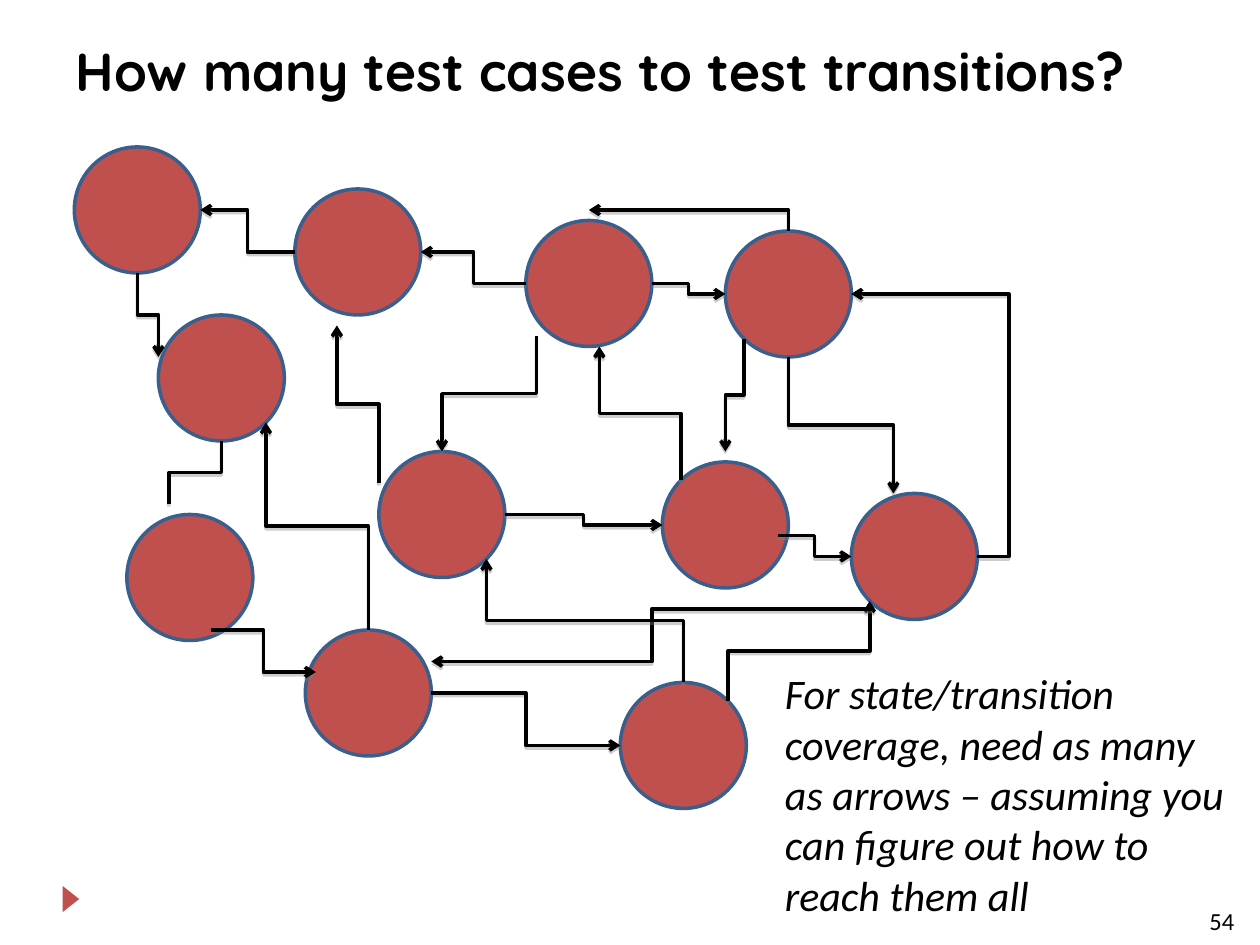
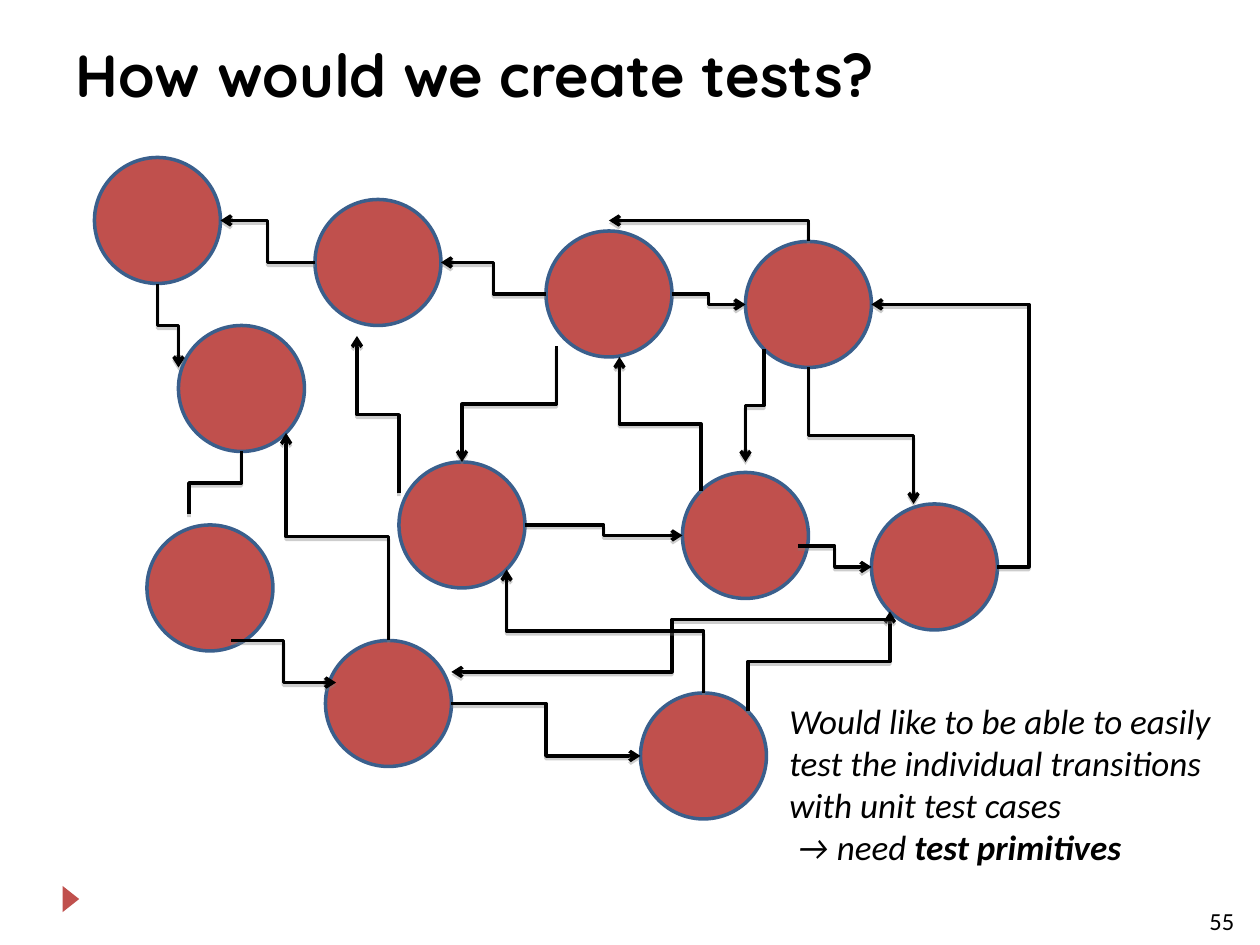
from lxml.etree import SubElement
from pptx import Presentation
from pptx.dml.color import RGBColor
from pptx.enum.shapes import MSO_CONNECTOR, MSO_SHAPE
from pptx.enum.text import MSO_ANCHOR, MSO_AUTO_SIZE, PP_ALIGN
from pptx.oxml.ns import qn
from pptx.util import Pt

BLACK = RGBColor(0x00, 0x00, 0x00)
RED = RGBColor(0xC0, 0x50, 0x4D)
BLUE = RGBColor(0x3A, 0x5F, 0x8C)
TITLE_FONT, BODY_FONT = "Quicksand", "Calibri"

SLIDES = [
    {
        "title": "How many test cases to test transitions?",
        "title_size": 30.6,
        "title_width": 615,
        "number": "54",
        "graph_offset": (-11.5, -6),
        "note_box": (441.5, 378, 272, 124),
        "note_size": 24,
        "note": [[("For state/transition coverage, need as many as arrows – assuming "
                   "you can figure out how to reach them all", False)]],
    },
    {
        "title": "How would we create tests?",
        "title_size": 34,
        "title_width": 648,
        "number": "55",
        "graph_offset": (0, 0),
        "note_box": (444, 396, 272, 104),
        "note_size": 20,
        "note": [
            [("Would like to be able to easily test the individual transitions "
              "with unit test cases", False)],
            [(" → need ", False), ("test primitives", True)],
        ],
    },
]

RADIUS = 36
STATE_CENTERS = {
    "B": (138, 222), "A": (90, 126), "C": (120, 336), "D": (216, 150),
    "E": (264, 300), "F": (222, 402), "G": (348, 168), "H": (426, 306),
    "I": (402, 432), "J": (534, 324), "K": (462, 174),
}
DIAGONAL = 25.46
SITES = {
    "N": (0, -RADIUS), "S": (0, RADIUS), "W": (-RADIUS, 0), "E": (RADIUS, 0),
    "NE": (DIAGONAL, -DIAGONAL), "NW": (-DIAGONAL, -DIAGONAL),
    "SE": (DIAGONAL, DIAGONAL), "SW": (-DIAGONAL, DIAGONAL),
}
# fmt: state, site or offset from its center, state, site or offset, first direction
TRANSITIONS = [
    ("A", "S", "B", (-36, -12), "down", {}),
    ("B", "S", "C", (-12, -42), "down", {"arrow": False}),
    ("C", (12, 30), "F", (-30, -12), "across", {}),
    ("F", "N", "B", "SE", "down", {}),
    ("F", "E", "I", "W", "across", {}),
    ("I", "NE", "J", "SW", "down", {}),
    ("J", (-24, 30), "F", (36, -18), "across", {}),
    ("I", "N", "E", "SE", "down", {}),
    ("E", "E", "H", "W", "across", {}),
    ("H", (30, 6), "J", "W", "across", {}),
    ("J", "E", "K", "E", "across", {"bend": -25000}),
    ("K", "S", "J", (-12, -36), "down", {}),
    ("K", "SW", "H", (0, -42), "down", {}),
    ("H", "NW", "G", (6, 36), "down", {}),
    ("G", "E", "K", "W", "across", {}),
    ("K", "N", "G", (0, -42), "down", {"bend": None}),
    ("G", "W", "D", "E", "across", {}),
    ("G", (-30, 30), "E", "N", "down", {}),
    ("E", (-36, -18), "D", (-12, 42), "down", {}),
    ("D", "W", "A", "E", "across", {}),
]


def add_run(paragraph, text, size, name, bold=False, italic=False):
    run = paragraph.add_run()
    run.text = text
    font = run.font
    font.size, font.name, font.bold, font.italic = Pt(size), name, bold, italic
    font.color.rgb = BLACK


def add_filled_shape(shapes, kind, box):
    shape = shapes.add_shape(kind, *map(Pt, box))
    shape.shadow.inherit = False
    shape.fill.solid()
    shape.fill.fore_color.rgb = RED
    return shape


def add_text(slide, box, paragraphs, size, italic=False):
    frame = slide.shapes.add_textbox(*map(Pt, box)).text_frame
    frame.word_wrap = True
    for index, runs in enumerate(paragraphs):
        paragraph = frame.add_paragraph() if index else frame.paragraphs[0]
        for text, bold in runs:
            add_run(paragraph, text, size, BODY_FONT, bold, italic)


def add_title(slide, content):
    title = slide.shapes.title
    title.left, title.top = Pt(36), Pt(18)
    title.width, title.height = Pt(content["title_width"]), Pt(72)
    frame = title.text_frame
    frame.word_wrap = True
    frame.auto_size = MSO_AUTO_SIZE.NONE
    frame.vertical_anchor = MSO_ANCHOR.TOP
    paragraph = frame.paragraphs[0]
    paragraph.alignment = PP_ALIGN.LEFT
    add_run(paragraph, content["title"], content["title_size"], TITLE_FONT, bold=True)


def add_shadow(properties):
    effects = SubElement(properties, qn("a:effectLst"))
    shadow = SubElement(effects, qn("a:outerShdw"), dist="20000", dir="5400000",
                        rotWithShape="0")
    color = SubElement(shadow, qn("a:srgbClr"), val="808080")
    SubElement(color, qn("a:alpha"), val="38000")


def add_elbow(shapes, start, end, direction, arrow=True, bend=50000):
    turn = 0
    if direction == "down":
        middle_x, middle_y = (start[0] + end[0]) / 2, (start[1] + end[1]) / 2
        across, down = end[0] - start[0], end[1] - start[1]
        turn = -1 if across * down > 0 else 1
        half_x, half_y = turn * down / 2, -turn * across / 2
        start = (middle_x - half_x, middle_y - half_y)
        end = (middle_x + half_x, middle_y + half_y)
    connector = shapes.add_connector(MSO_CONNECTOR.ELBOW, *map(Pt, start + end))
    connector.line.color.rgb = BLACK
    connector.line.width = Pt(2)
    properties = connector._element.spPr
    if turn:
        properties.find(qn("a:xfrm")).set("rot", str(turn % 4 * 5400000))
    geometry = properties.find(qn("a:prstGeom"))
    if bend is None:
        geometry.set("prst", "bentConnector2")
    else:
        SubElement(geometry.find(qn("a:avLst")), qn("a:gd"), name="adj1", fmla=f"val {bend}")
    if arrow:
        SubElement(properties.find(qn("a:ln")), qn("a:tailEnd"), type="arrow")
    add_shadow(properties)


def add_state_graph(slide, offset):
    shapes = slide.shapes.add_group_shape().shapes
    centers = {state: (x + offset[0], y + offset[1])
               for state, (x, y) in STATE_CENTERS.items()}
    for x, y in centers.values():
        box = (x - RADIUS, y - RADIUS, 2 * RADIUS, 2 * RADIUS)
        circle = add_filled_shape(shapes, MSO_SHAPE.OVAL, box)
        circle.line.color.rgb = BLUE
        circle.line.width = Pt(2)

    def locate(state, site):
        shift = SITES.get(site, site)
        return centers[state][0] + shift[0], centers[state][1] + shift[1]

    for source, source_site, target, target_site, direction, options in TRANSITIONS:
        add_elbow(shapes, locate(source, source_site), locate(target, target_site),
                  direction, **options)


def add_footer(slide, number):
    marker = add_filled_shape(slide.shapes, MSO_SHAPE.ISOSCELES_TRIANGLE, (33, 509, 15, 9.5))
    marker.rotation = 90
    marker.line.fill.background()
    add_text(slide, (684, 514, 32.5, 18), [[(number, False)]], 14)


def main():
    presentation = Presentation()
    presentation.slide_width, presentation.slide_height = Pt(720), Pt(540)
    for content in SLIDES:
        slide = presentation.slides.add_slide(presentation.slide_layouts[5])
        add_title(slide, content)
        add_footer(slide, content["number"])
        add_state_graph(slide, content["graph_offset"])
        add_text(slide, content["note_box"], content["note"], content["note_size"], italic=True)
    presentation.save("out.pptx")


if __name__ == "__main__":
    main()
